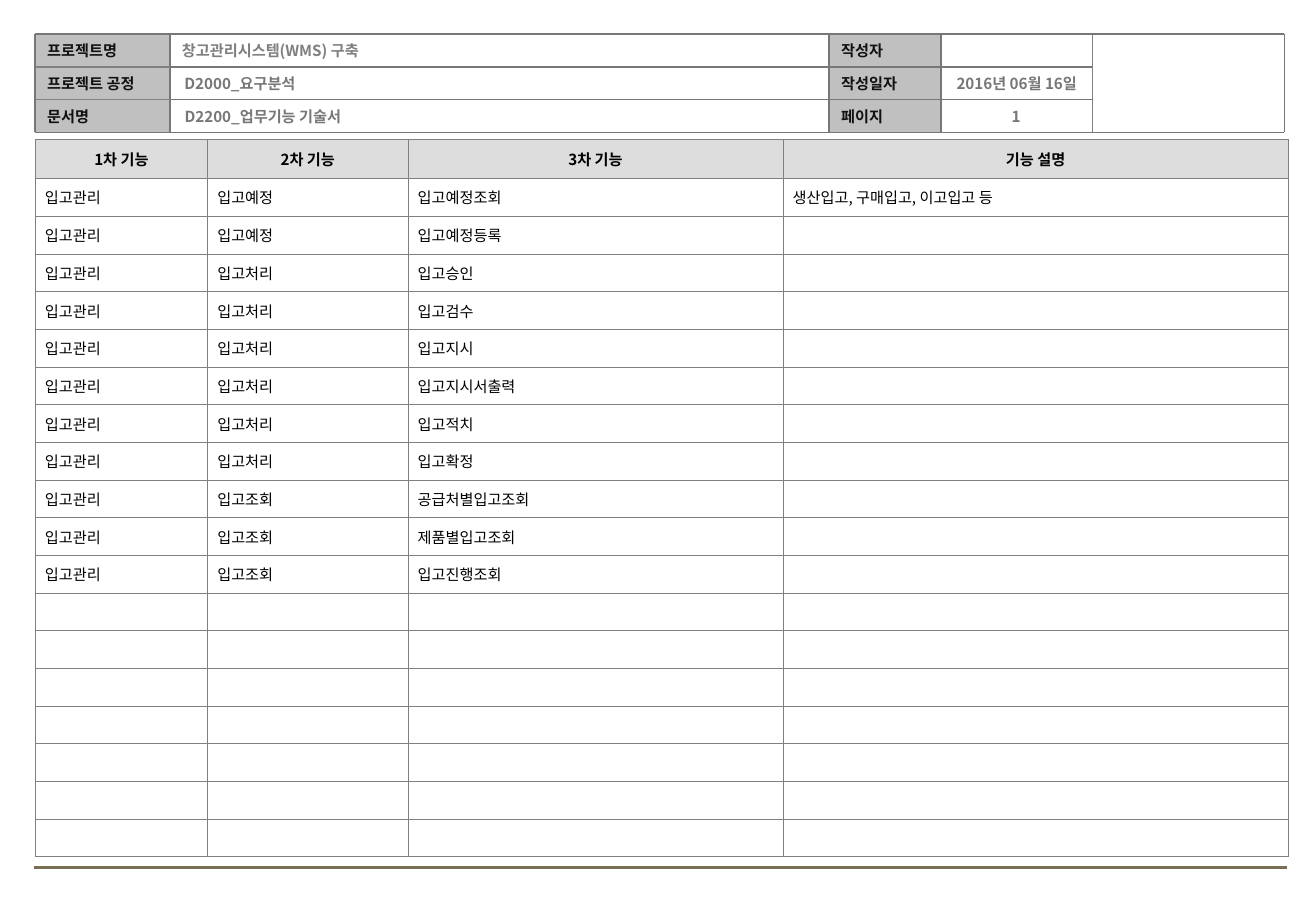
from lxml.etree import SubElement
from pptx import Presentation
from pptx.dml.color import RGBColor
from pptx.enum.shapes import MSO_CONNECTOR as CONNECTOR, MSO_SHAPE as SHAPE
from pptx.enum.text import MSO_ANCHOR as ANCHOR, MSO_AUTO_SIZE as AUTO_SIZE, PP_ALIGN as ALIGN
from pptx.oxml.ns import qn
from pptx.util import Inches, Pt

FONT = "Noto Sans CJK KR"
COLORS = {
    "label_fill": "C0C0C0", "label_text": "111111", "project_text": "7F7F7F",
    "value_text": "777777", "frame": "777777", "grid": "808080",
    "heading_fill": "DDDDDD", "table_text": "000000", "footer": "7A6F54",
}

LEFT, VALUE_LEFT, LABEL_LEFT, ENTRY_LEFT, STAMP_LEFT, RIGHT = 0.29, 1.4, 6.83, 7.75, 9, 10.58
TOP, ROW_HEIGHT = 0.28, 0.27
BOTTOM = TOP + 3 * ROW_HEIGHT
LABELS = [("프로젝트명", "작성자"), ("프로젝트 공정", "작성일자"), ("문서명", "페이지")]

COLUMN_WIDTHS = [1.42, 1.65, 3.09, 4.16]
TABLE_TOP, TABLE_HEIGHT, HEADING_HEIGHT = 1.15, 5.91, 0.32
BODY_ROWS = 18
HEADINGS = ["1차 기능", "2차 기능", "3차 기능", "기능 설명"]
AREA = "입고관리"
FUNCTIONS = {
    "입고예정": ["입고예정조회", "입고예정등록"],
    "입고처리": ["입고승인", "입고검수", "입고지시", "입고지시서출력", "입고적치", "입고확정"],
    "입고조회": ["공급처별입고조회", "제품별입고조회", "입고진행조회"],
}
DESCRIPTIONS = {"입고예정조회": "생산입고, 구매입고, 이고입고 등"}


def rgb(name):
    return RGBColor.from_string(COLORS[name])


def write(frame, text, color, bold=True, align=ALIGN.LEFT):
    paragraph = frame.paragraphs[0]
    if text:
        paragraph.text = text
    else:
        SubElement(paragraph._p, qn("a:endParaRPr"), sz="900")
    paragraph.alignment = align
    font = paragraph.font
    font.size = Pt(9)
    font.bold = bold
    font.color.rgb = rgb(color)
    font.name = FONT
    SubElement(font._element, qn("a:ea"), typeface=FONT)


def fit_text(shape, text, color, align=ALIGN.LEFT):
    frame = shape.text_frame
    frame.word_wrap = True
    frame.auto_size = AUTO_SIZE.NONE
    frame.vertical_anchor = ANCHOR.MIDDLE
    write(frame, text, color, align=align)


def row_box(left, row, width):
    return [Inches(v) for v in (left, TOP + row * ROW_HEIGHT, width, ROW_HEIGHT)]


def add_label(slide, text, left, row, width):
    label = slide.shapes.add_shape(SHAPE.RECTANGLE, *row_box(left, row, width))
    label.shadow.inherit = False
    label.fill.solid()
    label.fill.fore_color.rgb = rgb("label_fill")
    label.line.fill.background()
    fit_text(label, text, "label_text")


def add_value(slide, text, left, row, width, color="value_text", align=ALIGN.LEFT):
    value = slide.shapes.add_textbox(*row_box(left, row, width))
    fit_text(value, text, color, align)


def place_title(slide, text, left, row, width):
    title = slide.shapes.title
    title.left, title.top, title.width, title.height = row_box(left, row, width)
    fit_text(title, text, "value_text")


def add_line(slide, x1, y1, x2, y2, color="frame", width=1):
    line = slide.shapes.add_connector(
        CONNECTOR.STRAIGHT, Inches(x1), Inches(y1), Inches(x2), Inches(y2))
    line.line.color.rgb = rgb(color)
    line.line.width = Pt(width)
    SubElement(line._element.spPr, qn("a:effectLst"))


def add_document_header(slide):
    for row, (left_label, right_label) in enumerate(LABELS):
        add_label(slide, left_label, LEFT, row, VALUE_LEFT - LEFT)
        add_label(slide, right_label, LABEL_LEFT, row, ENTRY_LEFT - LABEL_LEFT)
    add_value(slide, "창고관리시스템(WMS) 구축", VALUE_LEFT, 0, 5.43, "project_text")
    add_value(slide, "D2000_요구분석", 1.42, 1, 4.8)
    place_title(slide, "D2200_업무기능 기술서", 1.42, 2, 4.8)
    add_value(slide, "2016년 06월 16일", 7.59, 1, 1.57, align=ALIGN.CENTER)
    add_value(slide, "1", 7.78, 2, 1.18, align=ALIGN.CENTER)

    for x in (VALUE_LEFT, LABEL_LEFT, ENTRY_LEFT, STAMP_LEFT, LEFT, RIGHT):
        add_line(slide, x, TOP, x, BOTTOM, "grid" if x == STAMP_LEFT else "frame")
    for row in (1, 2):
        y = TOP + row * ROW_HEIGHT
        add_line(slide, LEFT, y, VALUE_LEFT, y, "grid")
        add_line(slide, VALUE_LEFT, y, STAMP_LEFT, y)
    for y in (TOP, BOTTOM):
        add_line(slide, LEFT, y, RIGHT, y)


def add_borders(cell):
    properties = cell._tc.get_or_add_tcPr()
    for side in ("lnL", "lnR", "lnT", "lnB"):
        border = SubElement(properties, qn(f"a:{side}"), w=str(Pt(0.45)))
        fill = SubElement(border, qn("a:solidFill"))
        SubElement(fill, qn("a:srgbClr"), val=COLORS["grid"])


def format_cell(cell, text, heading):
    cell.margin_left = cell.margin_right = Inches(0.08)
    cell.vertical_anchor = ANCHOR.MIDDLE
    add_borders(cell)
    if heading:
        cell.fill.solid()
        cell.fill.fore_color.rgb = rgb("heading_fill")
    else:
        cell.fill.background()
    write(cell.text_frame, text, "table_text", heading, ALIGN.CENTER if heading else ALIGN.LEFT)


def add_function_table(slide):
    rows = [HEADINGS] + [
        [AREA, group, function, DESCRIPTIONS.get(function, "")]
        for group, functions in FUNCTIONS.items() for function in functions]
    rows += [[""] * len(HEADINGS)] * (BODY_ROWS + 1 - len(rows))
    table = slide.shapes.add_table(
        len(rows), len(HEADINGS), Inches(LEFT), Inches(TABLE_TOP),
        Inches(sum(COLUMN_WIDTHS)), Inches(TABLE_HEIGHT)).table
    table.horz_banding = False
    for column, width in zip(table.columns, COLUMN_WIDTHS):
        column.width = Inches(width)
    body_height = (TABLE_HEIGHT - HEADING_HEIGHT) / BODY_ROWS
    for index, texts in enumerate(rows):
        heading = index == 0
        table.rows[index].height = Inches(HEADING_HEIGHT if heading else body_height)
        for column, text in enumerate(texts):
            format_cell(table.cell(index, column), text, heading)


def main():
    deck = Presentation()
    deck.slide_width, deck.slide_height = Inches(10.84), Inches(7.5)
    slide = deck.slides.add_slide(deck.slide_layouts[5])
    add_line(slide, 0.28, 7.14, 10.6, 7.14, "footer", 1.75)
    add_document_header(slide)
    add_function_table(slide)
    deck.save("out.pptx")


if __name__ == "__main__":
    main()
